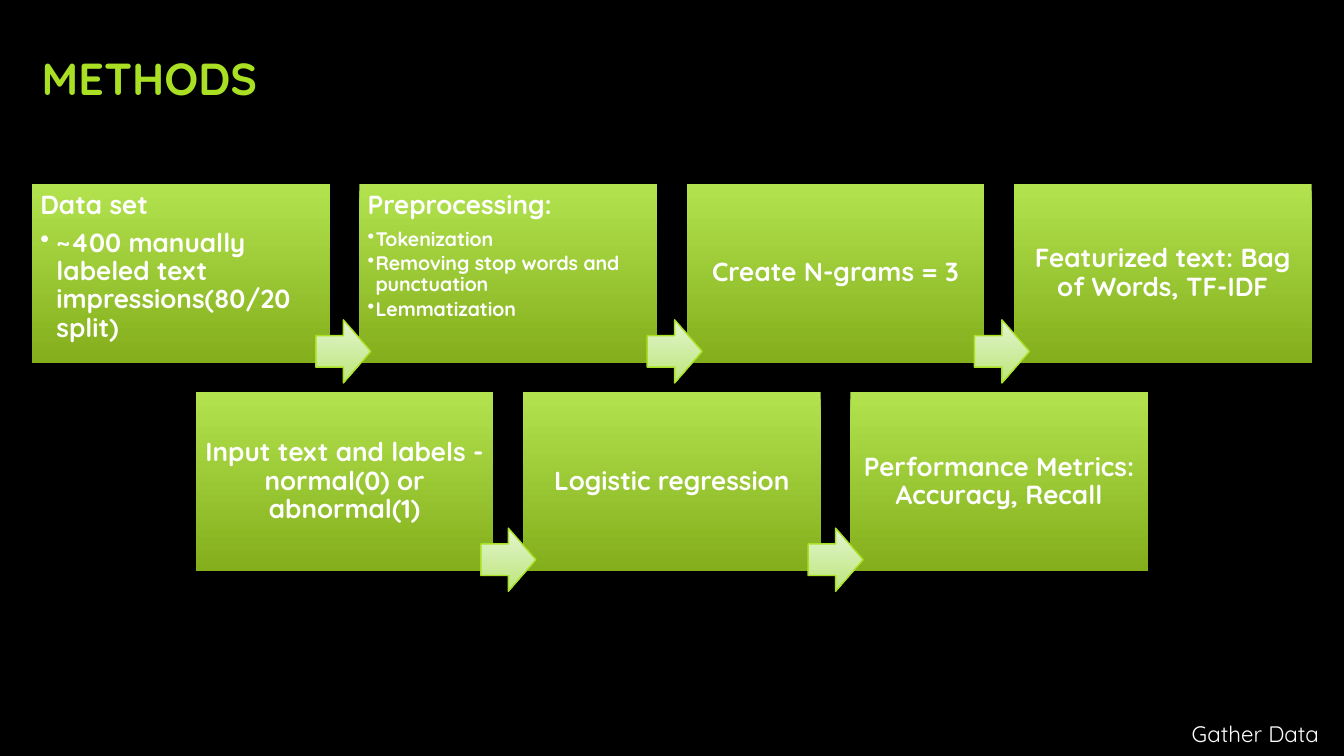
"""Build the methods slide: seven process steps in two staggered rows."""

from dataclasses import dataclass
from typing import Any

from lxml.etree import SubElement
from pptx import Presentation
from pptx.dml.color import RGBColor
from pptx.enum.shapes import MSO_SHAPE
from pptx.enum.text import MSO_ANCHOR, PP_ALIGN
from pptx.oxml.ns import qn
from pptx.util import Inches, Pt


@dataclass(frozen=True)
class Theme:
    """Colours, font and type sizes."""

    font: str = "Quicksand"
    background: str = "000000"
    accent: str = "A9E023"
    text: str = "FFFFFF"
    box: tuple[str, str] = ("B2E34F", "84AE1B")
    arrow: tuple[str, str] = ("E4F4CE", "BCE67B")
    title_size: float = 24
    step_size: float = 14
    detail_size: float = 10.5
    footer_size: float = 12


@dataclass(frozen=True)
class Grid:
    """Equal columns and rows of boxes, in inches, on a 16:9 slide."""

    slide_width: float = 10
    slide_height: float = 10 * 9 / 16
    left: float = 0.24
    right: float = 0.24
    top: float = 1.37
    gap: float = 0.22
    columns: int = 4
    box_height: float = 1.33

    @property
    def box_width(self) -> float:
        """Width of one box."""
        gaps = self.gap * (self.columns - 1)
        return (self.slide_width - self.left - self.right - gaps) / self.columns

    def cell(self, column: float, row: int) -> tuple[float, float]:
        """Left and top of a cell."""
        return (self.left + column * (self.box_width + self.gap),
                self.top + row * (self.box_height + self.gap))


@dataclass(frozen=True)
class Step:
    """One box of the process, with optional bullets and an arrow to the next."""

    column: float
    row: int
    heading: str
    details: tuple[str, ...] = ()
    detail_size: float = 14
    indent: float = 0.12
    arrow: bool = True
    nudge: float = 0


THEME = Theme()
GRID = Grid()
ARROW_WIDTH, ARROW_HEIGHT, ARROW_DROP = 0.41, 0.47, 1.01
STEPS = (
    Step(0, 0, "Data set", ("~400 manually labeled text impressions(80/20 split)",),
         nudge=-0.01),
    Step(1, 0, "Preprocessing:",
         ("Tokenization", "Removing stop words and punctuation", "Lemmatization"),
         THEME.detail_size, 0.06, nudge=0.02),
    Step(2, 0, "Create N-grams = 3", nudge=0.02),
    Step(3, 0, "Featurized text: Bag of Words, TF-IDF", arrow=False),
    Step(0.5, 1, "Input text and labels - normal(0) or abnormal(1)"),
    Step(1.5, 1, "Logistic regression"),
    Step(2.5, 1, "Performance Metrics: Accuracy, Recall", arrow=False),
)


def apply_format(target: Any, values: dict[str, Any]) -> None:
    """Set each attribute of the target."""
    for name, value in values.items():
        setattr(target, name, value)


def format_frame(frame: Any, anchor: Any, horizontal: float, vertical: float) -> None:
    """Set wrapping, anchor and insets of a text frame."""
    apply_format(frame, {
        "word_wrap": True, "vertical_anchor": anchor,
        "margin_left": Inches(horizontal), "margin_right": Inches(horizontal),
        "margin_top": Inches(vertical), "margin_bottom": Inches(vertical),
    })


def write(paragraph: Any, text: str, size: float, color: str, bold: bool = True,
          **layout: Any) -> None:
    """Write one formatted run into a paragraph."""
    apply_format(paragraph, layout)
    run = paragraph.add_run()
    run.text = text
    apply_format(run.font, {"name": THEME.font, "size": Pt(size), "bold": bold})
    run.font.color.rgb = RGBColor.from_string(color)


def add_bullet(paragraph: Any, indent: float) -> None:
    """Give a paragraph a hanging bullet."""
    properties = paragraph._p.get_or_add_pPr()
    properties.set("marL", str(Inches(indent)))
    properties.set("indent", str(-Inches(indent)))
    SubElement(properties, qn("a:buChar")).set("char", "•")


def add_gradient_shape(slide: Any, preset: Any, left: float, top: float, width: float,
                       height: float, colors: tuple[str, str]) -> Any:
    """Add a preset shape with a downward gradient and no shadow."""
    shape = slide.shapes.add_shape(
        preset, Inches(left), Inches(top), Inches(width), Inches(height))
    shape.shadow.inherit = False
    shape.fill.gradient()
    shape.fill.gradient_angle = 270
    for stop, color in zip(shape.fill.gradient_stops, colors):
        stop.color.rgb = RGBColor.from_string(color)
    return shape


def add_step(slide: Any, step: Step) -> None:
    """Add the box of a step with its text."""
    left, top = GRID.cell(step.column, step.row)
    shape = add_gradient_shape(slide, MSO_SHAPE.RECTANGLE, left, top,
                               GRID.box_width, GRID.box_height, THEME.box)
    shape.line.fill.background()
    frame = shape.text_frame
    format_frame(frame, MSO_ANCHOR.TOP if step.details else MSO_ANCHOR.MIDDLE, 0.06, 0.06)
    write(frame.paragraphs[0], step.heading, THEME.step_size, THEME.text,
          alignment=PP_ALIGN.LEFT if step.details else PP_ALIGN.CENTER,
          line_spacing=0.9, space_after=Pt(5 if step.details else 0))
    for detail in step.details:
        paragraph = frame.add_paragraph()
        add_bullet(paragraph, step.indent)
        write(paragraph, detail, step.detail_size, THEME.text, level=1,
              alignment=PP_ALIGN.LEFT, line_spacing=0.9, space_after=Pt(1.6))


def add_arrow(slide: Any, step: Step) -> None:
    """Add the arrow across the gap that follows a step."""
    left, top = GRID.cell(step.column, step.row)
    center = left + GRID.box_width + GRID.gap / 2 + step.nudge
    shape = add_gradient_shape(slide, MSO_SHAPE.RIGHT_ARROW, center - ARROW_WIDTH / 2,
                               top + ARROW_DROP, ARROW_WIDTH, ARROW_HEIGHT, THEME.arrow)
    shape.line.color.rgb = RGBColor.from_string(THEME.accent)
    shape.line.width = Pt(0.75)


def add_title(slide: Any, text: str) -> None:
    """Place and format the title placeholder."""
    title = slide.shapes.title
    apply_format(title, {"left": Inches(0.24), "top": Inches(0.2),
                         "width": Inches(9.08), "height": Inches(0.8)})
    format_frame(title.text_frame, MSO_ANCHOR.MIDDLE, 0.07, 0.04)
    write(title.text_frame.paragraphs[0], text, THEME.title_size, THEME.accent,
          alignment=PP_ALIGN.LEFT, line_spacing=0.9)


def add_footer(slide: Any, text: str) -> None:
    """Add the label in the bottom right corner."""
    width, height = 1.32, 0.34
    box = slide.shapes.add_textbox(
        Inches(GRID.slide_width - width), Inches(GRID.slide_height - height),
        Inches(width), Inches(height))
    format_frame(box.text_frame, MSO_ANCHOR.MIDDLE, 0, 0)
    write(box.text_frame.paragraphs[0], text, THEME.footer_size, THEME.text, False,
          alignment=PP_ALIGN.CENTER)


def main() -> None:
    """Build and save the presentation."""
    presentation = Presentation()
    apply_format(presentation, {"slide_width": Inches(GRID.slide_width),
                                "slide_height": Inches(GRID.slide_height)})
    slide = presentation.slides.add_slide(presentation.slide_layouts[5])
    slide.background.fill.solid()
    slide.background.fill.fore_color.rgb = RGBColor.from_string(THEME.background)
    add_title(slide, "METHODS")
    for step in STEPS:
        add_step(slide, step)
    add_footer(slide, "Gather Data")
    for step in STEPS:
        if step.arrow:
            add_arrow(slide, step)
    presentation.save("out.pptx")


if __name__ == "__main__":
    main()
